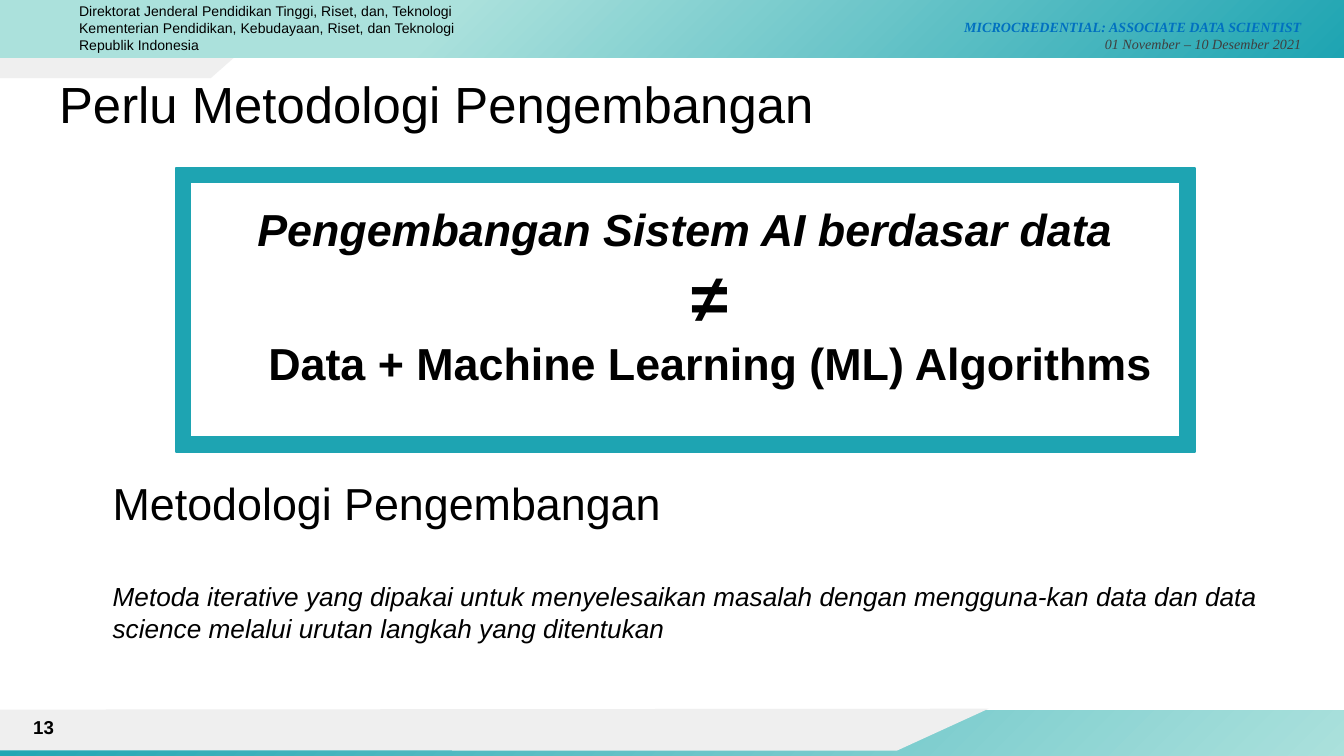
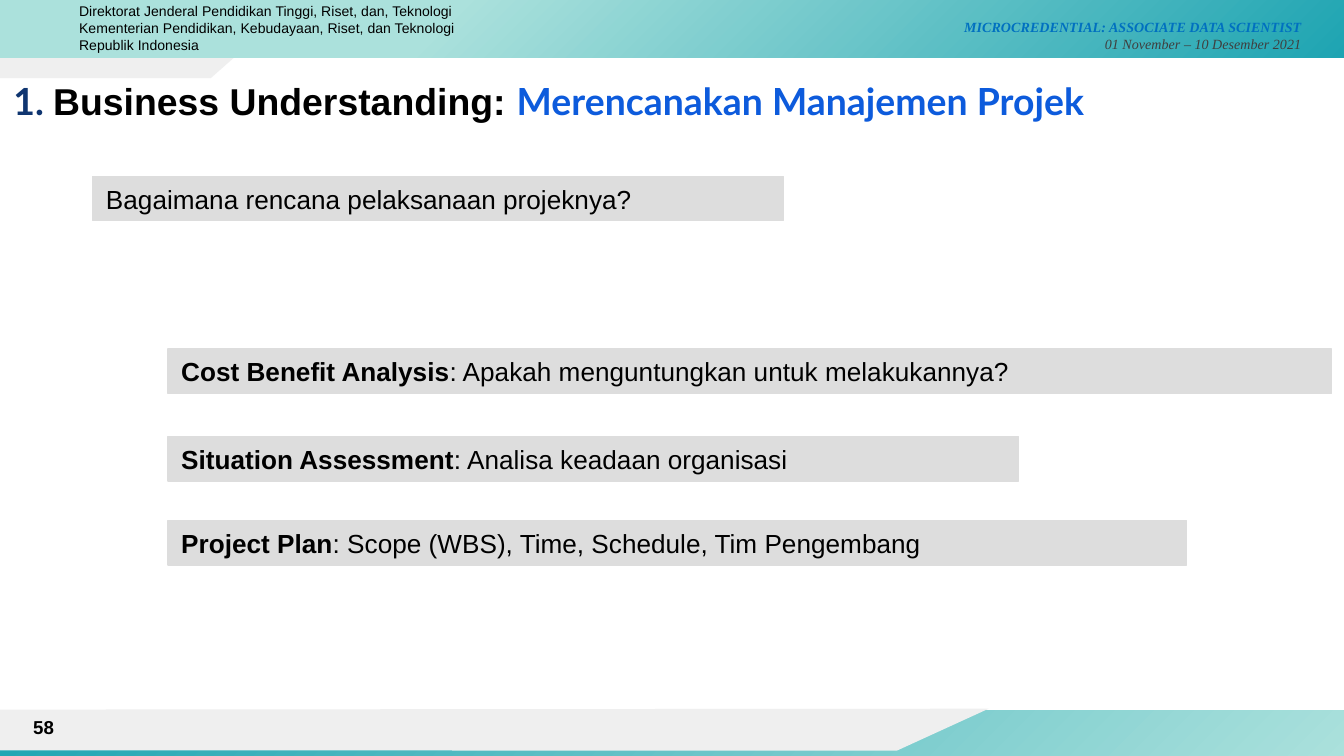
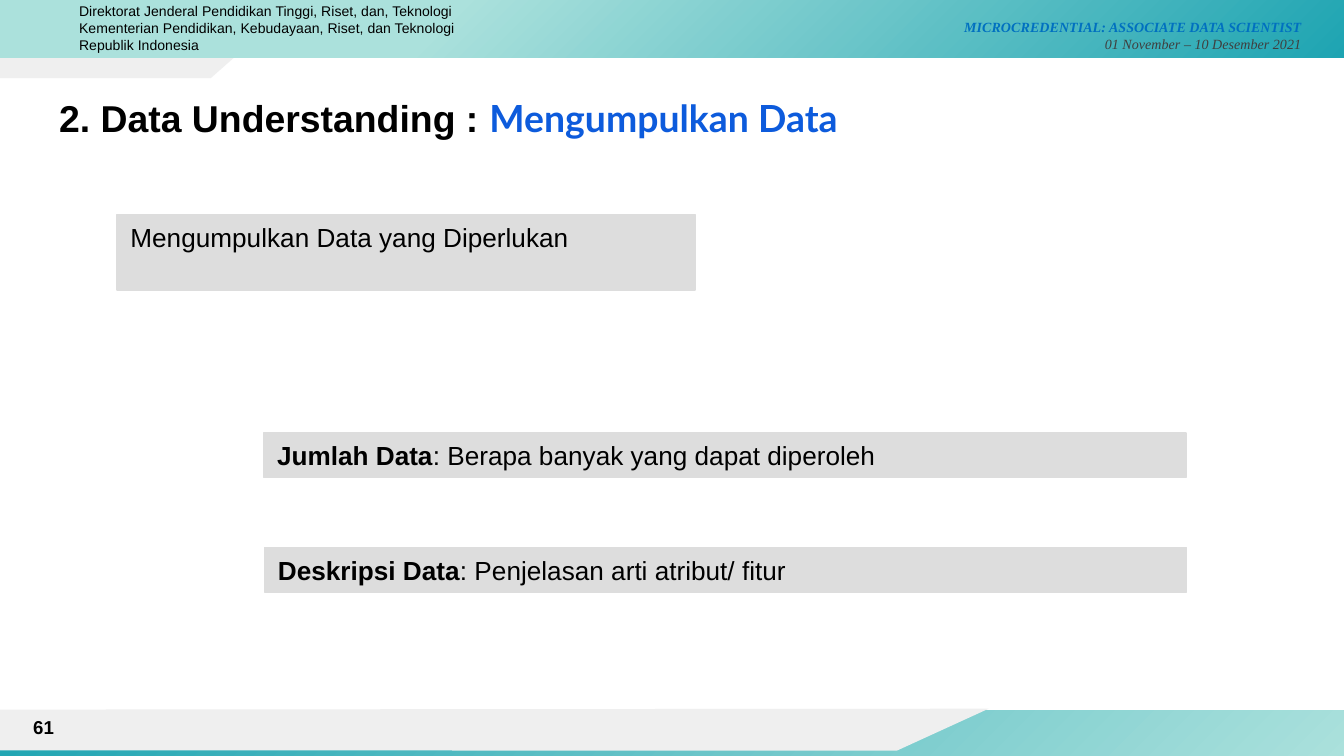
from pptx import Presentation
from pptx.dml.color import RGBColor
from pptx.enum.shapes import MSO_SHAPE
from pptx.enum.text import MSO_ANCHOR, MSO_AUTO_SIZE, PP_ALIGN
from pptx.util import Pt

COLORS = {
    "teal": "1EA4B2",
    "mint": "ABE1DC",
    "pale": "EFEFEF",
    "gray": "DDDDDD",
    "black": "000000",
    "charcoal": "3F3F3F",
    "program": "0070C0",
    "navy": "0F3570",
    "blue": "0D5BDC",
}
SLIDE_WIDTH, SLIDE_HEIGHT = 720, 405
STATEMENT_HEIGHT = 23.8


def color(name):
    return RGBColor.from_string(COLORS[name])


def style(size, name="black", font="Arial", bold=False, italic=False):
    return {"size": size, "name": name, "font": font, "bold": bold, "italic": italic}


def write(paragraph, *parts, align=PP_ALIGN.LEFT):
    paragraph.alignment = align
    for text, look in parts:
        run = paragraph.add_run()
        run.text = text
        run.font.size = Pt(look["size"])
        run.font.name = look["font"]
        run.font.bold = look["bold"]
        run.font.italic = look["italic"]
        run.font.color.rgb = color(look["name"])


def set_frame(frame, margins=(7.2, 3.6, 7.2, 3.6), anchor=MSO_ANCHOR.TOP):
    frame.word_wrap = True
    frame.auto_size = MSO_AUTO_SIZE.NONE
    frame.vertical_anchor = anchor
    frame.margin_left, frame.margin_top, frame.margin_right, frame.margin_bottom = map(Pt, margins)
    return frame


def add_text(slide, box, lines, align=PP_ALIGN.LEFT, **frame_options):
    frame = set_frame(slide.shapes.add_textbox(*map(Pt, box)).text_frame, **frame_options)
    for index, parts in enumerate(lines):
        paragraph = frame.add_paragraph() if index else frame.paragraphs[0]
        write(paragraph, *parts, align=align)
    return frame


def add_block(slide, preset, box, name, line_width):
    block = slide.shapes.add_shape(preset, *map(Pt, box))
    block.shadow.inherit = False
    block.fill.solid()
    block.fill.fore_color.rgb = color(name)
    block.line.color.rgb = color(name)
    block.line.width = Pt(line_width)
    return block


def add_band(slide, box, stops):
    band = slide.shapes.add_shape(MSO_SHAPE.RECTANGLE, *map(Pt, box))
    band.shadow.inherit = False
    band.line.fill.background()
    band.fill.gradient()
    band.fill.gradient_angle = 315
    for stop, (position, name) in zip(band.fill.gradient_stops, stops):
        stop.position = position
        stop.color.rgb = color(name)


def add_tab(slide, corners):
    points = [(Pt(x), Pt(y)) for x, y in corners]
    builder = slide.shapes.build_freeform(*points[0])
    builder.add_line_segments(points[1:], close=True)
    tab = builder.convert_to_shape()
    tab.shadow.inherit = False
    tab.fill.solid()
    tab.fill.fore_color.rgb = color("pale")
    tab.line.fill.background()


def add_footer(slide):
    add_band(slide, (0, 380.9, SLIDE_WIDTH, 25.9), [(0, "teal"), (1, "mint")])
    add_tab(slide, [(529.6, 379.7), (0, 380.2), (0, 402), (480.4, 402.2)])


def add_header(slide):
    add_tab(slide, [(131.8, 25.2), (0, 23.8), (0, 41.8), (113, 41.8)])
    add_band(slide, (0, 0, SLIDE_WIDTH, 31), [(0.33, "mint"), (1, "teal")])
    add_text(
        slide, (428.4, 3.6, 275.8, 28),
        [
            [("MICROCREDENTIAL: ASSOCIATE DATA SCIENTIST",
              style(7.5, "program", "Times New Roman", True, True))],
            [("01 November – 10 Desember 2021",
              style(7.5, "charcoal", "Times New Roman", italic=True))],
        ],
        align=PP_ALIGN.RIGHT, margins=(7.2, 6.5, 7.2, 3.6),
    )
    ministry = style(7.5)
    add_text(
        slide, (35.3, -2.2, 239.8, 34.6),
        [
            [("Direktorat Jenderal Pendidikan Tinggi, Riset, dan, Teknologi", ministry)],
            [("Kementerian Pendidikan, Kebudayaan, Riset, dan Teknologi Republik Indonesia", ministry)],
        ],
    )


def dress_layout(layout, slide):
    for placeholder in list(layout.placeholders):
        if placeholder.placeholder_format.idx:
            placeholder.element.getparent().remove(placeholder.element)
    add_header(slide)
    add_footer(slide)
    for shape in list(slide.shapes):
        if not shape.is_placeholder:
            layout.shapes.element.append(shape.element)


def add_title(slide, box, *parts, spacing=1.0):
    title = slide.shapes.title
    title.left, title.top, title.width, title.height = map(Pt, box)
    frame = set_frame(title.text_frame, margins=(7.2,) * 4)
    write(frame.paragraphs[0], *parts)
    frame.paragraphs[0].line_spacing = spacing


def add_page_number(slide, number):
    add_text(slide, (0, 378.7, 36, 21.6), [[(number, style(10, bold=True))]],
             align=PP_ALIGN.RIGHT, anchor=MSO_ANCHOR.MIDDLE)


def add_statement(slide, left, top, width, term, explanation, height=STATEMENT_HEIGHT):
    block = add_block(slide, MSO_SHAPE.RECTANGLE, (left, top, width, height), "gray", 0.75)
    parts = [(term, style(14, bold=True))] if term else []
    write(set_frame(block.text_frame).paragraphs[0], *parts, (explanation, style(14)))


def add_inequality(slide, left, top, width, height):
    claim = add_text(
        slide, (left + 11.5, top + 14.4, width - 23.8, 108),
        [
            [("Pengembangan Sistem AI berdasar data", style(24, bold=True, italic=True))],
            [("≠", style(36, bold=True))],
            [("Data + Machine Learning (ML) Algorithms", style(24, bold=True))],
        ],
        align=PP_ALIGN.CENTER,
    )
    for paragraph in claim.paragraphs[1:]:
        paragraph._p.get_or_add_pPr().set("marL", str(Pt(27)))
    border = add_block(slide, MSO_SHAPE.FRAME, (left, top, width, height), "teal", 1)
    border.adjustments[0] = 0.051


def build_methodology(slide):
    add_title(slide, (24.5, 35.3, 671, 44.6),
              ("Perlu Metodologi Pengembangan", style(27.2)), spacing=0.9)
    add_inequality(slide, 94.3, 90, 545.8, 152)
    definition = add_text(
        slide, (53.3, 251.2, 659.5, 98.6),
        [
            [("Metodologi Pengembangan", style(24))],
            [("Metoda iterative yang dipakai untuk menyelesaikan masalah dengan "
              "mengguna-kan data dan data science melalui urutan langkah yang ditentukan",
              style(14, italic=True))],
        ],
    )
    definition.paragraphs[1].space_before = Pt(27.6)
    add_page_number(slide, "13")


def build_business(slide):
    add_title(
        slide, (0, 34.6, 731.5, 44.6),
        ("1. ", style(20, "navy", "Lato", True)),
        ("Business Understanding: ", style(20, bold=True)),
        ("Merencanakan Manajemen Projek", style(20, "blue", "Lato", True)),
    )
    add_statement(slide, 49.7, 94.5, 370, "", "Bagaimana rencana pelaksanaan projeknya?")
    plans = [
        (187, 623.5, "Cost Benefit Analysis", ": Apakah menguntungkan untuk melakukannya?"),
        (234, 455.8, "Situation Assessment", ": Analisa keadaan organisasi"),
        (279, 545.8, "Project Plan", ": Scope (WBS), Time, Schedule, Tim Pengembang"),
    ]
    for top, width, term, explanation in plans:
        add_statement(slide, 90, top, width, term, explanation)
    add_page_number(slide, "58")


def build_data(slide):
    add_title(
        slide, (24.5, 43.9, 671, 44.6),
        ("2. Data Understanding : ", style(20, bold=True)),
        ("Mengumpulkan Data", style(20, "blue", "Lato", True)),
    )
    add_statement(slide, 62.8, 115, 309.6, "", "Mengumpulkan Data yang Diperlukan", height=40.4)
    add_statement(slide, 141.3, 232, 494, "Jumlah Data", ": Berapa banyak yang dapat diperoleh")
    add_statement(slide, 141.8, 293.5, 494, "Deskripsi Data", ": Penjelasan arti atribut/ fitur")
    add_page_number(slide, "61")


def main():
    presentation = Presentation()
    presentation.slide_width, presentation.slide_height = Pt(SLIDE_WIDTH), Pt(SLIDE_HEIGHT)
    layout = presentation.slide_layouts[5]
    builders = [build_methodology, build_business, build_data]
    slides = [presentation.slides.add_slide(layout) for _ in builders]
    dress_layout(layout, slides[0])
    for build, slide in zip(builders, slides):
        build(slide)
    presentation.save("out.pptx")


if __name__ == "__main__":
    main()
